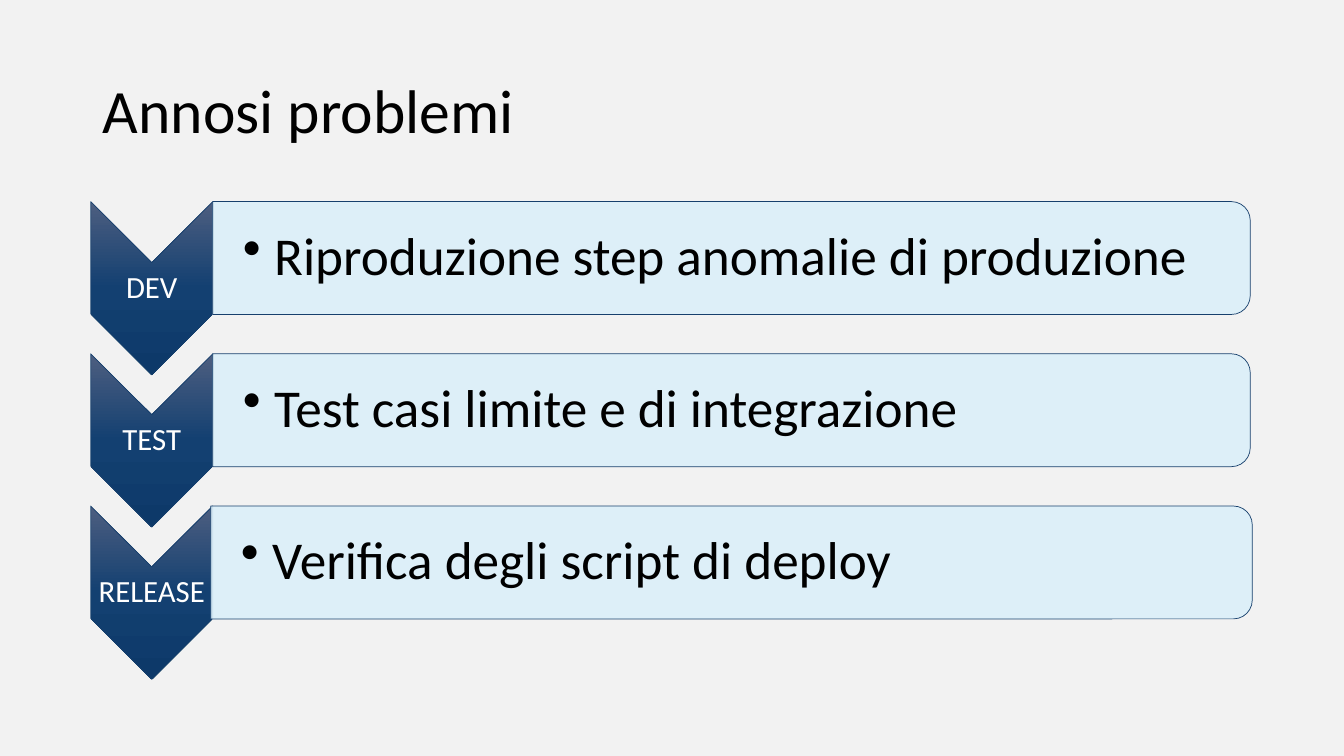
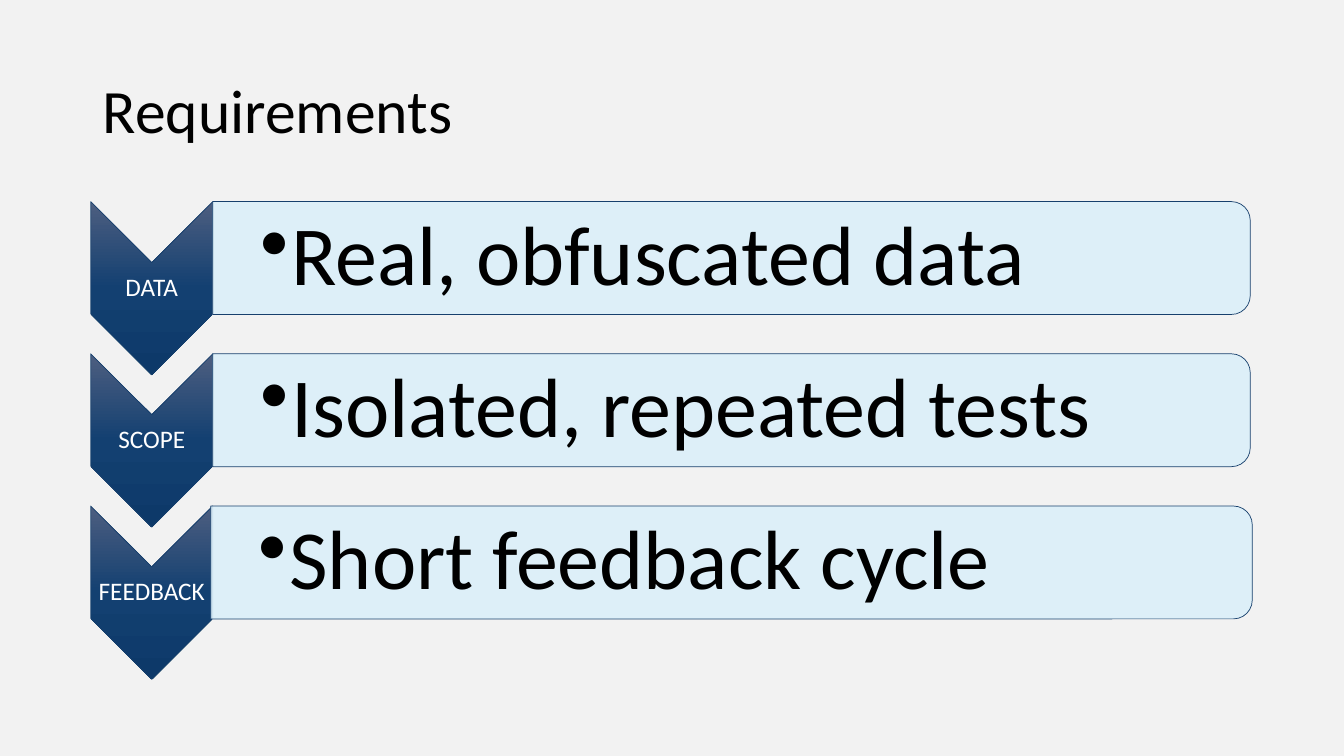
from dataclasses import dataclass

from lxml import etree
from pptx import Presentation
from pptx.dml.color import RGBColor
from pptx.enum.shapes import MSO_SHAPE
from pptx.enum.text import MSO_ANCHOR, MSO_AUTO_SIZE, PP_ALIGN
from pptx.oxml import parse_xml
from pptx.oxml.ns import nsdecls, qn
from pptx.util import Pt

CHEVRON = MSO_SHAPE.CHEVRON
BAR = MSO_SHAPE.ROUND_2_SAME_RECTANGLE
MIDDLE = MSO_ANCHOR.MIDDLE
FIXED = MSO_AUTO_SIZE.NONE
LEFT, CENTER = PP_ALIGN.LEFT, PP_ALIGN.CENTER

PX = 9144
WIDTH, HEIGHT = 1333, 750
TITLE_BOX = (92, 40, 1150, 145)
TOP, PITCH = 200, 151
CHEV_X, CHEV_W, CHEV_H = 90, 121, 172
LABEL_DY, LABEL_H = 60, 52
BAR_X, BAR_W, BAR_H = 211, 1029, 112
TEXT_PAD = 5


@dataclass(frozen=True)
class Theme:
    font: str = "Calibri"
    page: str = "F2F2F2"
    ink: str = "000000"
    white: str = "FFFFFF"
    edge: str = "17406D"
    bar: str = "DBEFF9"
    bar_alpha: int = 90
    shade: tuple = ((0, "4D5E80"), (50, "134071"), (100, "0D3969"))
    title: int = 44
    line: float = 0.5
    spacing: float = 0.9


@dataclass(frozen=True)
class Style:
    """Type sizes and insets that differ from slide to slide."""
    label: int
    label_pad: int
    body: int
    body_left: int
    body_pad: int


THEME = Theme()
SMALL = Style(label=22, label_pad=2, body=38, body_left=30, body_pad=3)
LARGE = Style(label=18, label_pad=1, body=60, body_left=47, body_pad=4)

SLIDES = (
    ("Annosi problemi", SMALL, (
        ("DEV", "Riproduzione step anomalie di produzione"),
        ("TEST", "Test casi limite e di integrazione"),
        ("RELEASE", "Verifica degli script di deploy"),
    )),
    ("Requirements", LARGE, (
        ("DATA", "Real, obfuscated data"),
        ("SCOPE", "Isolated, repeated tests"),
        ("FEEDBACK", "Short feedback cycle"),
    )),
)


def emu(*values):
    return [round(value * PX) for value in values]


def write(frame, text, *, size, color=THEME.ink, align=LEFT, pads=None, hang=0):
    """Fill a text frame; hang is the bullet indent, 0 for no bullet."""
    frame.word_wrap = True
    frame.auto_size = FIXED
    frame.vertical_anchor = MIDDLE
    if pads:
        (frame.margin_left, frame.margin_top,
         frame.margin_right, frame.margin_bottom) = emu(*pads)
    para = frame.paragraphs[0]
    para.alignment = align
    para.line_spacing = THEME.spacing
    if hang:
        props = para._p.get_or_add_pPr()
        props.set("marL", str(hang * PX))
        props.set("indent", str(-hang * PX))
        etree.SubElement(props, qn("a:buChar")).set("char", "•")
    run = para.add_run()
    run.text = text
    run.font.name = THEME.font
    run.font.size = Pt(size)
    run.font.color.rgb = RGBColor.from_string(color)


def add_text(slide, box, text, **form):
    write(slide.shapes.add_textbox(*emu(*box)).text_frame, text, **form)


def add_turned(slide, kind, x, y, w, h):
    """Add a shape turned by 90 degrees that covers the given box."""
    shift = (w - h) / 2
    shape = slide.shapes.add_shape(kind, *emu(x + shift, y - shift, h, w))
    shape.rotation = 90
    shape.shadow.inherit = False
    shape.line.color.rgb = RGBColor.from_string(THEME.edge)
    shape.line.width = Pt(THEME.line)
    return shape


def add_chevron(slide, y):
    shape = add_turned(slide, CHEVRON, CHEV_X, y, CHEV_W, CHEV_H)
    stops = "".join(
        f'<a:gs pos="{pos * 1000}"><a:srgbClr val="{color}"/></a:gs>'
        for pos, color in THEME.shade)
    fill = parse_xml(
        f'<a:gradFill {nsdecls("a")} rotWithShape="0"><a:gsLst>{stops}</a:gsLst>'
        '<a:lin ang="5400000" scaled="0"/></a:gradFill>')
    shape._element.spPr.find(qn("a:prstGeom")).addnext(fill)


def add_bar(slide, x, y, w):
    shape = add_turned(slide, BAR, x, y, w, BAR_H)
    shape.fill.solid()
    shape.fill.fore_color.rgb = RGBColor.from_string(THEME.bar)
    color = shape._element.spPr.find(qn("a:solidFill"))[0]
    etree.SubElement(color, qn("a:alpha")).set("val", str(THEME.bar_alpha * 1000))


def add_row(slide, y, label, text, style, grow):
    """Add a chevron and its bar; grow widens the bar on both sides."""
    add_chevron(slide, y)
    add_text(slide, (CHEV_X, y + LABEL_DY, CHEV_W, LABEL_H), label,
             size=style.label, color=THEME.white, align=CENTER,
             pads=[style.label_pad] * 4)
    x, w = BAR_X - grow, BAR_W + 2 * grow
    add_bar(slide, x, y, w)
    add_text(slide, (x, y + TEXT_PAD, w - TEXT_PAD, BAR_H - 2 * TEXT_PAD), text,
             size=style.body, hang=31,
             pads=[style.body_left] + [style.body_pad] * 3)


def add_slide(deck, title, style, rows):
    slide = deck.slides.add_slide(deck.slide_layouts[5])
    head = slide.shapes.title
    head.left, head.top, head.width, head.height = emu(*TITLE_BOX)
    write(head.text_frame, title, size=THEME.title)
    for i, (label, text) in enumerate(rows):
        grow = 2 if i == len(rows) - 1 else 0
        add_row(slide, TOP + i * PITCH, label, text, style, grow)


def main():
    deck = Presentation()
    deck.slide_width, deck.slide_height = emu(WIDTH, HEIGHT)
    fill = deck.slide_master.background.fill
    fill.solid()
    fill.fore_color.rgb = RGBColor.from_string(THEME.page)
    for title, style, rows in SLIDES:
        add_slide(deck, title, style, rows)
    deck.save("out.pptx")


if __name__ == "__main__":
    main()
